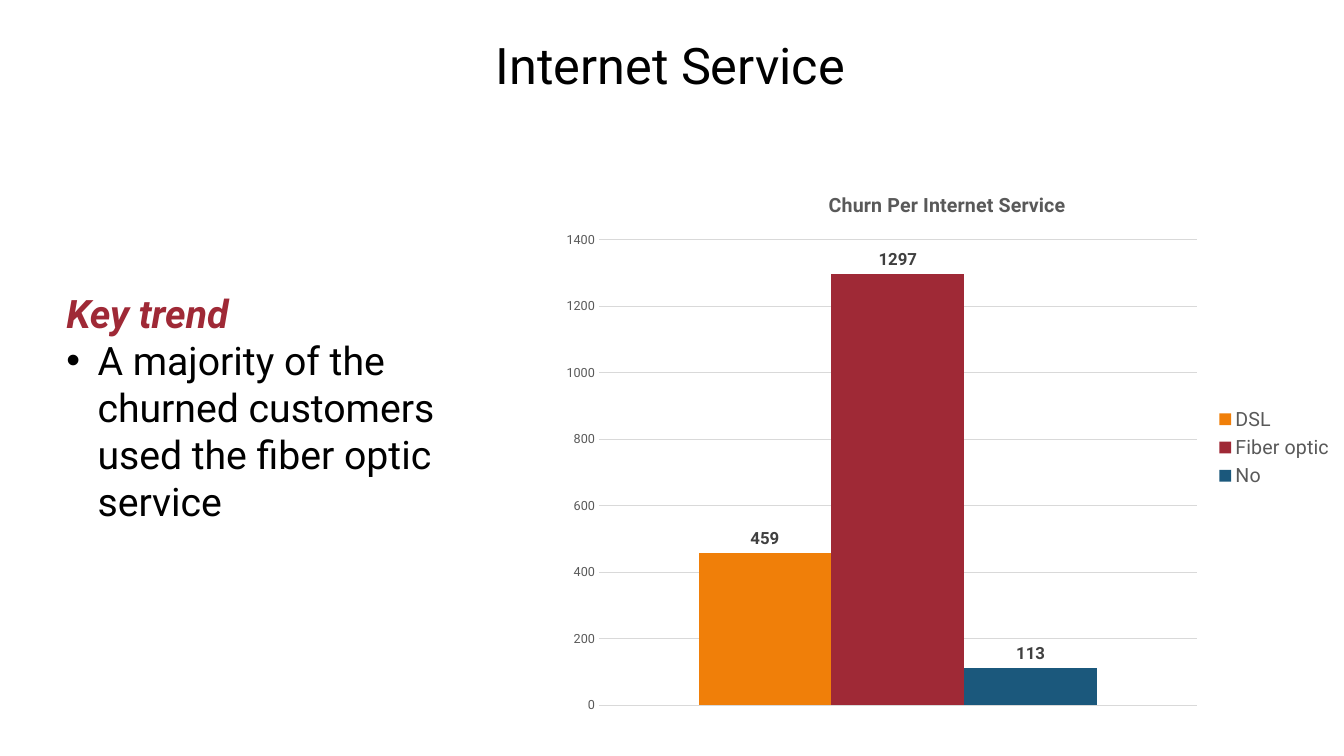
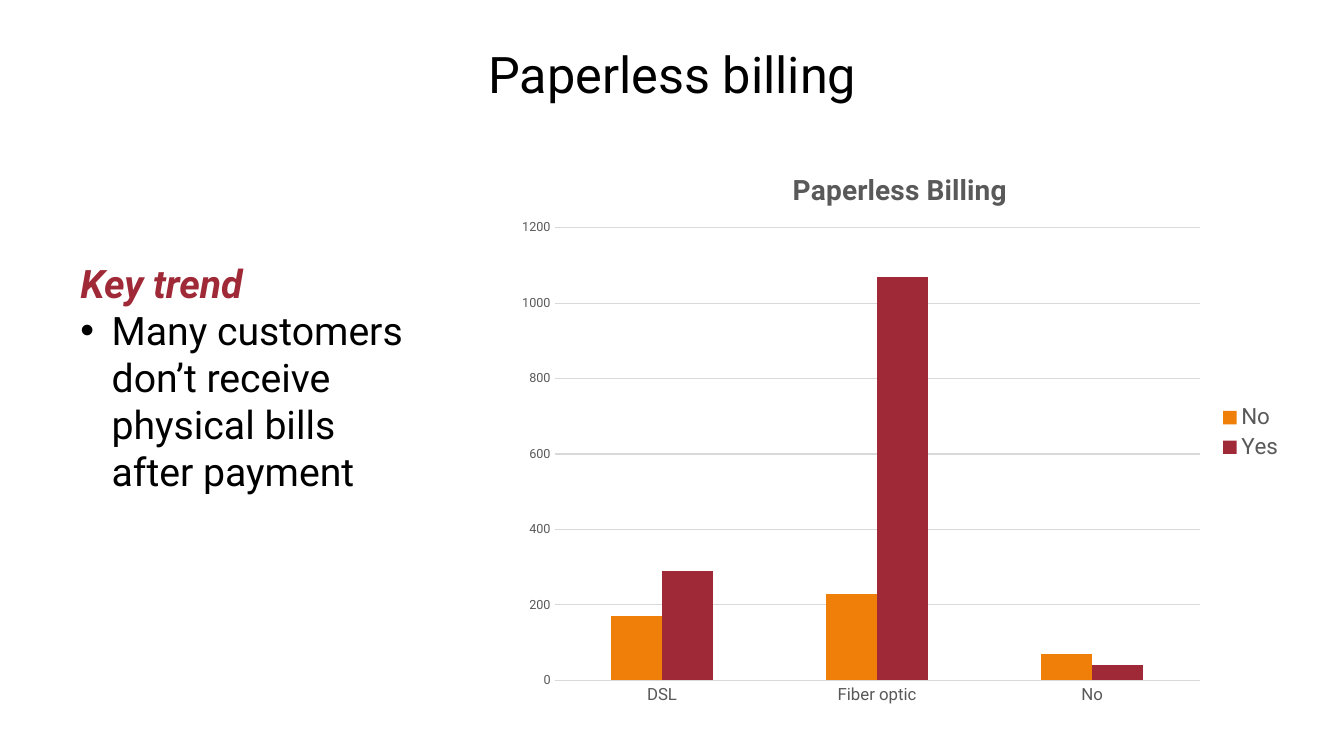
from dataclasses import dataclass

from lxml import etree
from pptx import Presentation
from pptx import util as u
from pptx.chart import data as chart_data
from pptx.dml.color import RGBColor
from pptx.enum import chart as charts, text
from pptx.oxml import ns


@dataclass(frozen=True)
class Theme:
    """Fonts, colours and type sizes shared by the slides."""
    font: str = "Roboto"
    ink: str = "000000"
    accent: str = "9F2936"
    muted: str = "595959"
    label: str = "404040"
    grid: str = "D9D9D9"
    series: tuple = ("F07F09", "9F2936", "1B587C")
    title_size: int = 36
    body_size: int = 28
    axis_size: int = 9
    label_size: int = 12
    hairline: float = 0.75


class ChurnDeck:
    """Builds churn slides with a title, a key trend and a column chart."""

    def __init__(self, theme):
        self.theme = theme
        self.deck = Presentation()
        self.deck.slide_width = u.Inches(13.33)
        self.deck.slide_height = u.Inches(7.5)
        self.page = None

    def add_page(self):
        """Start a blank slide."""
        self.page = self.deck.slides.add_slide(self.deck.slide_layouts[6])

    def style(self, font, size, color, bold=False, italic=False):
        """Apply the theme font with a size and colour."""
        font.name = self.theme.font
        font.size = u.Pt(size)
        font.color.rgb = RGBColor.from_string(color)
        font.bold = bold
        font.italic = italic

    def text_box(self, area, content):
        """Add a wrapping text box and return its frame."""
        box = self.page.shapes.add_textbox(*map(u.Inches, area))
        box.text_frame.word_wrap = True
        box.text_frame.text = content
        return box.text_frame

    def title(self, area, content):
        """Add the centred slide title."""
        frame = self.text_box(area, content)
        frame.vertical_anchor = text.MSO_ANCHOR.MIDDLE
        para = frame.paragraphs[0]
        para.alignment = text.PP_ALIGN.CENTER
        para.line_spacing = 0.9
        self.style(para.runs[0].font, self.theme.title_size, self.theme.ink)

    def key_trend(self, area, finding):
        """Add the key trend heading with one bulleted finding."""
        frame = self.text_box(area, "Key trend")
        heading = frame.paragraphs[0].runs[0]
        self.style(heading.font, self.theme.body_size, self.theme.accent, True, True)
        para = frame.add_paragraph()
        para.text = finding
        self.style(para.runs[0].font, self.theme.body_size, self.theme.ink)
        properties = para._p.get_or_add_pPr()
        indent = u.Inches(0.31)
        properties.set("marL", str(indent))
        properties.set("indent", str(-indent))
        etree.SubElement(properties, ns.qn("a:buFont")).set("typeface", "Arial")
        etree.SubElement(properties, ns.qn("a:buChar")).set("char", "•")

    def column_chart(self, area, plot_area, heading, heading_size, legend_size,
                     categories, series, gap, top):
        """Add a clustered column chart and return it."""
        values = chart_data.CategoryChartData()
        values.categories = categories
        for name, numbers in series.items():
            values.add_series(name, numbers)
        chart = self.page.shapes.add_chart(
            charts.XL_CHART_TYPE.COLUMN_CLUSTERED, *map(u.Inches, area), values).chart
        self.style(chart.font, 10, self.theme.ink)

        chart.has_title = True
        chart.chart_title.include_in_layout = False
        para = chart.chart_title.text_frame.paragraphs[0]
        para.text = heading
        self.style(para.runs[0].font, heading_size, self.theme.muted, True)

        chart.has_legend = True
        chart.legend.position = charts.XL_LEGEND_POSITION.RIGHT
        chart.legend.include_in_layout = False
        self.style(chart.legend.font, legend_size, self.theme.muted)

        plot = chart.plots[0]
        plot.vary_by_categories = False
        plot.gap_width = gap
        plot.overlap = 0
        for item, color in zip(plot.series, self.theme.series):
            item.format.fill.solid()
            item.format.fill.fore_color.rgb = RGBColor.from_string(color)
        self.axes(chart, top)
        self.place_plot(chart, area, plot_area)
        return chart

    def axes(self, chart, top):
        """Style both axes and the gridlines."""
        scale, groups = chart.value_axis, chart.category_axis
        scale.minimum_scale, scale.maximum_scale, scale.major_unit = 0, top, 200
        scale.has_major_gridlines = True
        scale.format.line.fill.background()
        for line in (scale.major_gridlines.format.line, groups.format.line):
            line.color.rgb = RGBColor.from_string(self.theme.grid)
            line.width = u.Pt(self.theme.hairline)
        for axis, size in ((scale, self.theme.axis_size), (groups, self.theme.label_size)):
            axis.major_tick_mark = charts.XL_TICK_MARK.NONE
            self.style(axis.tick_labels.font, size, self.theme.muted)

    def place_plot(self, chart, area, plot_area):
        """Fix the inner plot area, given in slide inches."""
        left, top, width, height = area
        x, y, w, h = plot_area
        plot = chart.element.chart.plotArea
        for old in plot.findall(ns.qn("c:layout")):
            plot.remove(old)
        layout = etree.Element(ns.qn("c:layout"))
        manual = etree.SubElement(layout, ns.qn("c:manualLayout"))
        settings = {"layoutTarget": "inner", "xMode": "edge", "yMode": "edge",
                    "x": (x - left) / width, "y": (y - top) / height,
                    "w": w / width, "h": h / height}
        for name, value in settings.items():
            etree.SubElement(manual, ns.qn(f"c:{name}")).set("val", str(value))
        plot.insert(0, layout)

    def value_labels(self, chart):
        """Show bold values above the columns."""
        for item in chart.plots[0].series:
            labels = item.data_labels
            labels.show_value = True
            labels.position = charts.XL_LABEL_POSITION.OUTSIDE_END
            self.style(labels.font, self.theme.label_size, self.theme.label, True)


def internet_service(deck):
    """Build the internet service slide."""
    deck.add_page()
    deck.title((0.26, 0.17, 12.78, 1.02), "Internet Service")
    chart = deck.column_chart(
        (5.46, 1.7, 7.87, 5.48), (5.94, 2.38, 5.93, 4.62),
        "Churn Per Internet Service", 14, 14, ["1"],
        {"DSL": [459], "Fiber optic": [1297], "No": [113]}, gap=150, top=1400)
    chart.category_axis.visible = False
    deck.value_labels(chart)
    deck.key_trend((0.56, 2.82, 4.6, 3.4),
                   "A majority of the churned customers used the fiber optic service")


def paperless_billing(deck):
    """Build the paperless billing slide."""
    deck.add_page()
    deck.title((0.92, 0.4, 11.5, 0.73), "Paperless billing")
    deck.column_chart(
        (5.02, 1.48, 7.81, 5.62), (5.5, 2.26, 6.4, 4.49),
        "Paperless Billing", 20, 16, ["DSL", "Fiber optic", "No"],
        {"No": [170, 230, 70], "Yes": [290, 1070, 40]}, gap=219, top=1200)
    deck.key_trend((0.7, 2.52, 3.47, 2.46),
                   "Many customers don’t receive physical bills after payment")


def main():
    """Build and save the deck."""
    deck = ChurnDeck(Theme())
    internet_service(deck)
    paperless_billing(deck)
    deck.deck.save("out.pptx")


if __name__ == "__main__":
    main()
